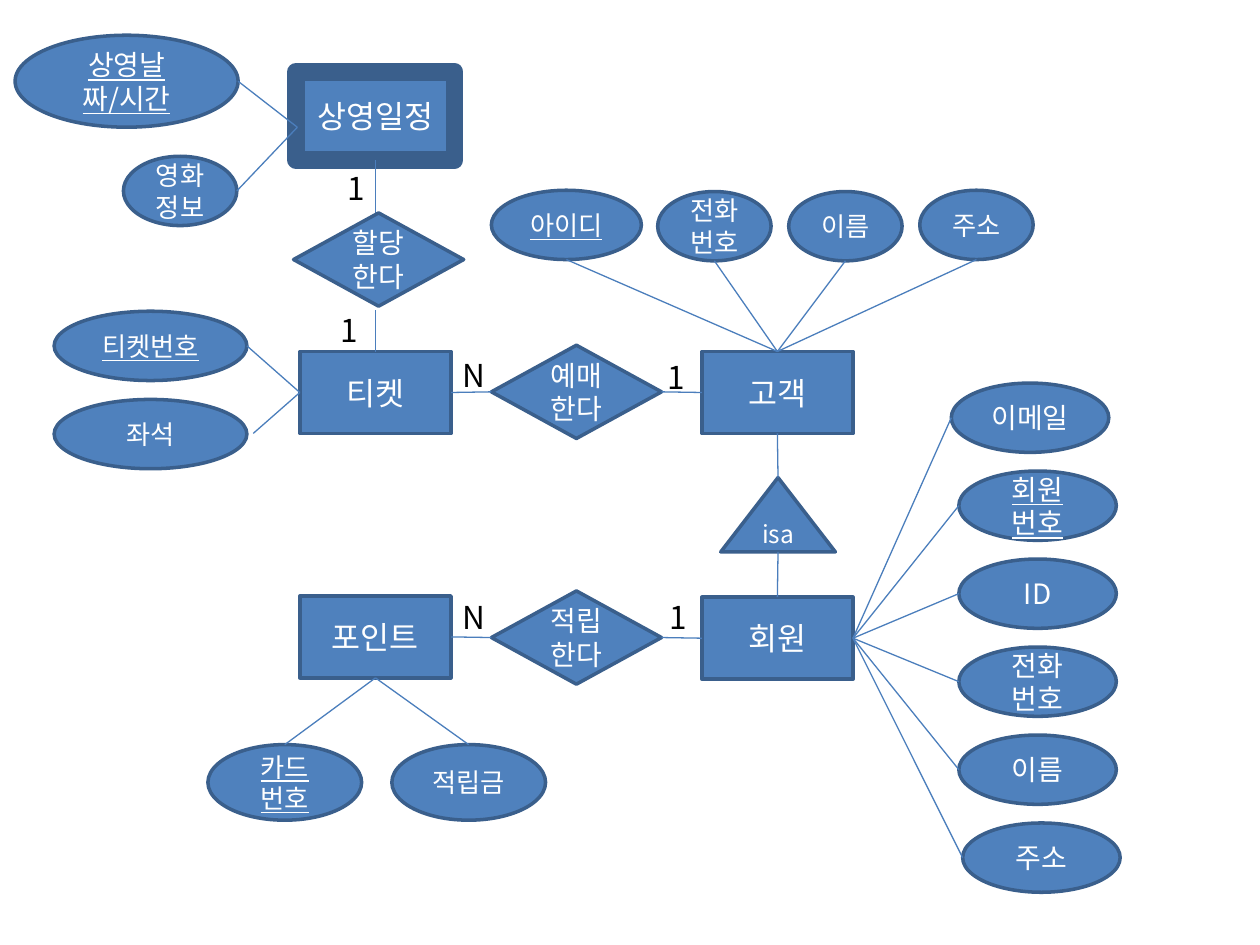
from dataclasses import dataclass

from pptx import Presentation
from pptx.dml.color import RGBColor
from pptx.enum.shapes import MSO_CONNECTOR as Connector, MSO_SHAPE as Shape
from pptx.enum.text import MSO_ANCHOR as Anchor, PP_ALIGN as Align
from pptx.oxml.ns import qn
from pptx.util import Pt
from lxml.etree import SubElement

TOP, LEFT, BOTTOM, RIGHT = range(4)


@dataclass(frozen=True)
class Theme:
    fill: str = "4F81BD"
    border: str = "3A5F8C"
    link: str = "4B7EBC"
    light: str = "FFFFFF"
    dark: str = "000000"
    font: str = "Noto Sans CJK KR"
    entity_size: int = 18
    large_size: int = 16
    small_size: int = 15
    isa_size: int = 14
    border_width: int = 2
    weak_border_width: int = 10
    link_width: float = 0.75


THEME = Theme()


def apply(target, values):
    for name, value in values.items():
        setattr(target, name, value)


def write(shape, text, size, color, align=None, underline=None):
    """Fill a shape with text, one paragraph per line."""
    frame = shape.text_frame
    frame.text = text
    frame.word_wrap = True
    for paragraph in frame.paragraphs:
        paragraph.alignment = align
        for run in paragraph.runs:
            apply(run.font, {"size": Pt(size), "name": THEME.font, "underline": underline})
            run.font.color.rgb = RGBColor.from_string(color)
            SubElement(run.font._element, qn("a:ea"), typeface=THEME.font)


def add_node(slide, kind, text, box, size, underline=None, border=THEME.border_width):
    shape = slide.shapes.add_shape(kind, *map(Pt, box))
    shape.shadow.inherit = False
    shape.fill.solid()
    shape.fill.fore_color.rgb = RGBColor.from_string(THEME.fill)
    shape.line.color.rgb = RGBColor.from_string(THEME.border)
    shape.line.width = Pt(border)
    shape.text_frame.vertical_anchor = Anchor.MIDDLE
    write(shape, text, size, THEME.light, Align.CENTER, underline)
    return shape


def add_entity(slide, text, left, top):
    return add_node(slide, Shape.RECTANGLE, text, (left, top, 86.4, 46.8), THEME.entity_size)


def add_relation(slide, text, left, top):
    box = (left, top, 97.2, 53.28)
    return add_node(slide, Shape.FLOWCHART_DECISION, text, box, THEME.large_size)


def add_attribute(slide, text, box, key=None, size=THEME.small_size):
    return add_node(slide, Shape.OVAL, text, box, size, underline=key)


def add_label(slide, text, left, top, width):
    box = slide.shapes.add_textbox(Pt(left), Pt(top), Pt(width), Pt(28.8))
    write(box, text, THEME.entity_size, THEME.dark)


def side(shape, site):
    """Middle of one side of a shape's frame."""
    x = {LEFT: 0, RIGHT: 2}.get(site, 1)
    y = {TOP: 0, BOTTOM: 2}.get(site, 1)
    return shape.left + shape.width * x // 2, shape.top + shape.height * y // 2


def add_link(slide, start, end):
    """Each end is a (shape, side) pair or a point; boxes and diamonds are joined."""
    ends = [side(*e) if hasattr(e[0], "shape_type") else tuple(map(Pt, e)) for e in (start, end)]
    line = slide.shapes.add_connector(Connector.STRAIGHT, *ends[0], *ends[1])
    line.line.color.rgb = RGBColor.from_string(THEME.link)
    line.line.width = Pt(THEME.link_width)
    SubElement(line._element.spPr, qn("a:effectLst"))
    for target, connect in ((start, line.begin_connect), (end, line.end_connect)):
        if hasattr(target[0], "shape_type") and target[0].auto_shape_type in (
                Shape.RECTANGLE, Shape.FLOWCHART_DECISION):
            connect(*target)


def main():
    presentation = Presentation()
    apply(presentation, {"slide_width": Pt(720), "slide_height": Pt(540)})
    slide = presentation.slides.add_slide(presentation.slide_layouts[6])

    # Entities
    schedule = add_node(slide, Shape.RECTANGLE, "상영일정", (169.2, 41.04, 90.72, 50.4),
                        THEME.entity_size, border=THEME.weak_border_width)
    ticket = add_entity(slide, "티켓", 171.36, 200.88)
    customer = add_entity(slide, "고객", 401.04, 200.88)
    member = add_entity(slide, "회원", 401.04, 341.28)
    points = add_entity(slide, "포인트", 171.36, 340.56)

    # Relations and specialisation
    booking = add_relation(slide, "예매한다", 280.8, 197.28)
    saving = add_relation(slide, "적립한다", 280.8, 337.68)
    isa = add_node(slide, Shape.ISOSCELES_TRIANGLE, "isa", (411.84, 272.88, 65.52, 42.48),
                   THEME.isa_size)
    for start, end in (
        ((ticket, RIGHT), (booking, LEFT)),
        ((booking, RIGHT), (customer, LEFT)),
        ((points, RIGHT), (saving, LEFT)),
        ((saving, RIGHT), (member, LEFT)),
        ((customer, BOTTOM), (isa, TOP)),
        ((isa, BOTTOM), (member, TOP)),
        ((schedule, BOTTOM), (214.56, 123.84)),
        ((ticket, TOP), (214.56, 177.12)),
    ):
        add_link(slide, start, end)

    # Schedule attributes
    showing = add_attribute(slide, "상영날짜/시간", (8.64, 20.16, 127.44, 52.56), True,
                            THEME.large_size)
    movie = add_attribute(slide, "영화정보", (70.56, 89.28, 64.8, 39.6))
    for attribute in (showing, movie):
        add_link(slide, (attribute, RIGHT), (169.92, 72.72))

    # Ticket attributes
    number = add_attribute(slide, "티켓번호", (30.96, 177.84, 110.16, 39.6), True)
    add_attribute(slide, "좌석", (30.96, 228.24, 110.16, 39.6))
    for start in ((number, RIGHT), (144.72, 247.68)):
        add_link(slide, start, (ticket, LEFT))

    # Customer attributes
    for text, left, top, width, key in (
        ("아이디", 280.8, 108.72, 85.68, True),
        ("전화번호", 375.84, 109.44, 64.8, None),
        ("이름", 450.72, 109.44, 64.8, None),
        ("주소", 525.6, 108.72, 64.8, None),
    ):
        attribute = add_attribute(slide, text, (left, top, width, 39.6), key)
        add_link(slide, (attribute, BOTTOM), (customer, TOP))

    # Member attributes
    for row, (text, left, key) in enumerate((
        ("이메일", 543.6, None),
        ("회원\n번호", 547.92, True),
        ("ID", 547.92, None),
        ("전화\n번호", 547.92, None),
        ("이름", 547.92, None),
        ("주소", 550.08, None),
    )):
        box = (left, 218.88 + 50.28 * row, 90, 39.6)
        attribute = add_attribute(slide, text, box, key, THEME.large_size)
        add_link(slide, (member, RIGHT), (attribute, LEFT))

    # Point attributes
    for text, left, key in (("카드\n번호", 118.8, True), ("적립금", 223.92, None)):
        attribute = add_attribute(slide, text, (left, 425.52, 87.84, 43.2), key)
        add_link(slide, (attribute, TOP), (points, BOTTOM))

    # Cardinalities
    for text, left, top, width in (
        ("1", 193.68, 174.24, 7.92),
        ("1", 191.52, 92.88, 16.56),
        ("1", 377.28, 200.88, 11.52),
        ("N", 257.04, 200.16, 16.56),
        ("1", 378, 338.4, 11.52),
        ("N", 257.04, 338.4, 16.56),
    ):
        add_label(slide, text, left, top, width)

    # Drawn last so that it covers the end of its upper link
    add_relation(slide, "할당한다", 167.76, 121.68)

    presentation.save("out.pptx")


if __name__ == "__main__":
    main()
